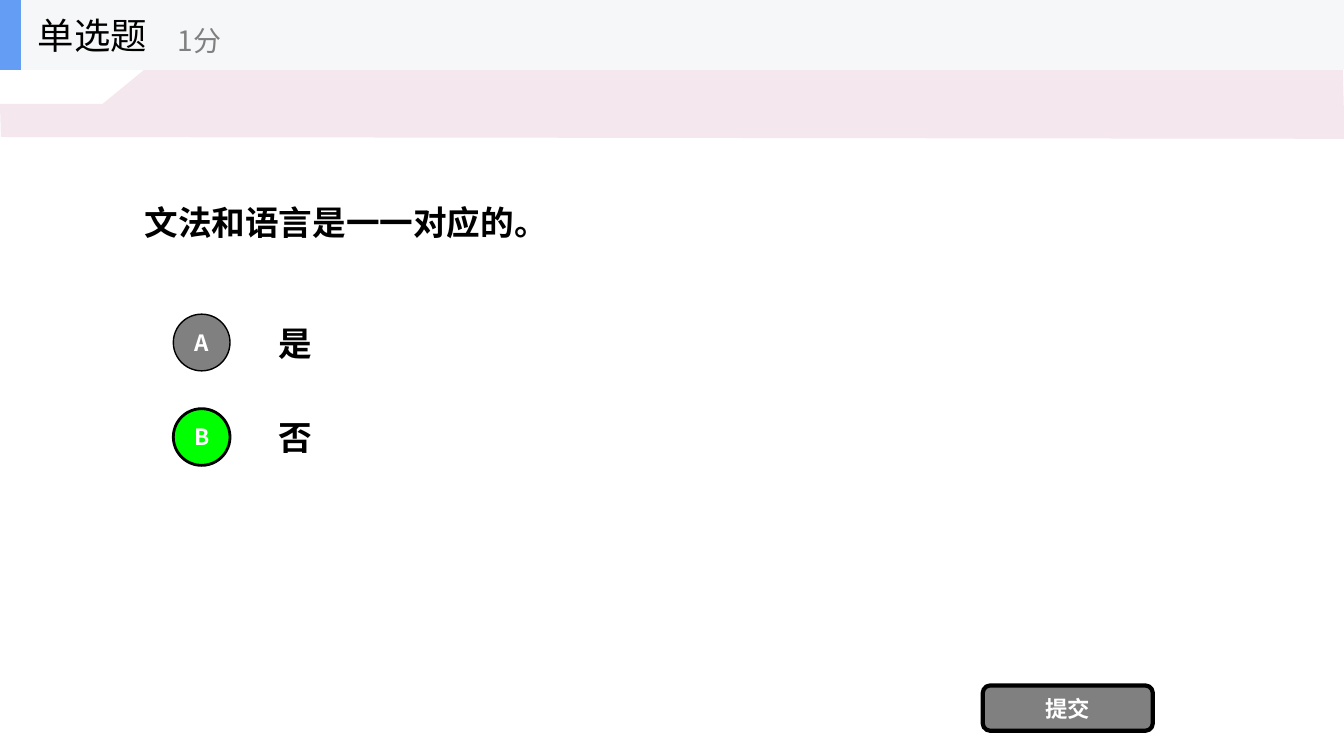
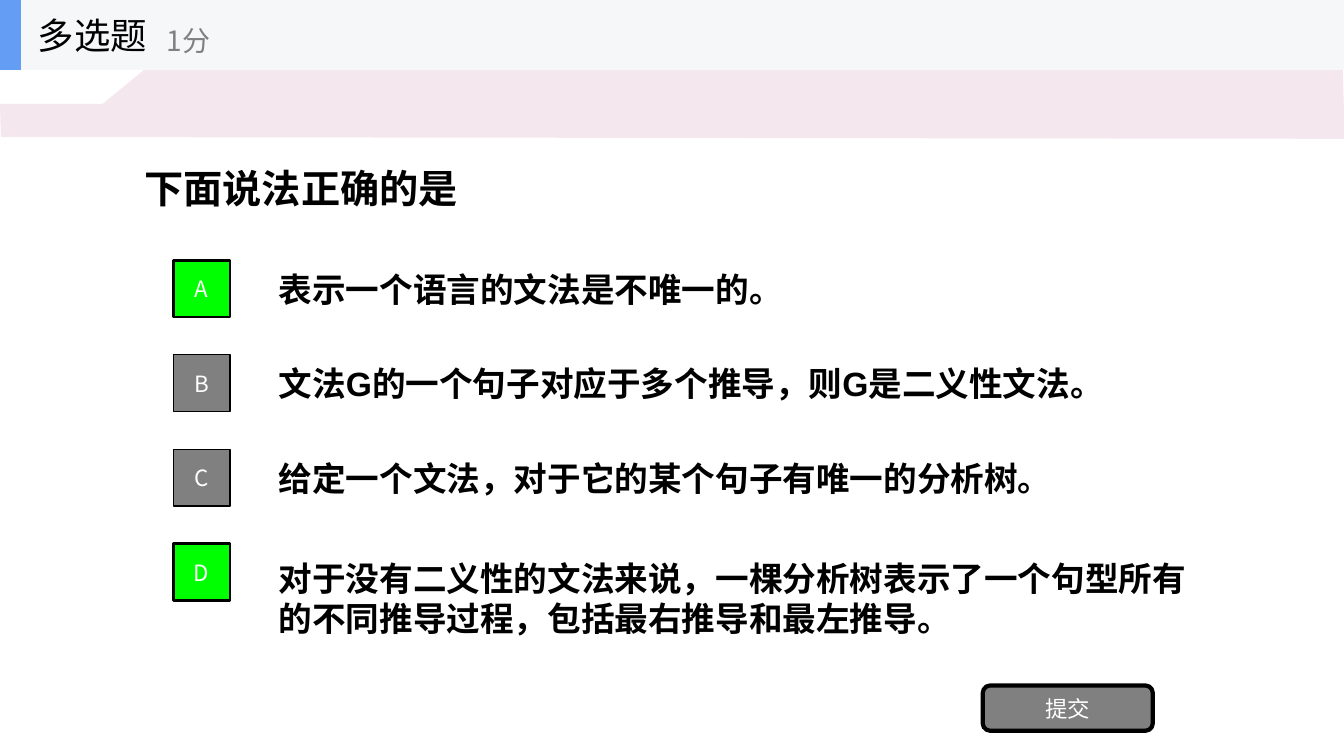
"""Build two quiz slides: one single-choice and one multiple-choice question."""
import dataclasses

import lxml.etree
import pptx
import pptx.dml.color
import pptx.enum.shapes
import pptx.enum.text
import pptx.oxml.ns
import pptx.util

Pt = pptx.util.Pt
Shapes = pptx.enum.shapes.MSO_SHAPE
Align = pptx.enum.text.PP_ALIGN


@dataclasses.dataclass(frozen=True)
class Theme:
    black: str = "000000"
    white: str = "FFFFFF"
    gray: str = "808080"
    correct: str = "00FF00"
    header: str = "F6F7F8"
    accent: str = "639EF4"
    band: str = "F4E7ED"
    cjk_font: str = "Noto Sans CJK SC"
    latin_font: str = "Arial"
    heading_size: int = 26
    score_size: int = 20
    option_size: int = 24
    label_size: int = 16


@dataclasses.dataclass(frozen=True)
class Question:
    heading: str
    score_left: float
    title: str
    title_size: int
    title_top: float
    title_height: float
    options_top: float
    options: tuple
    correct: str
    badge: Shapes
    label_bold: bool
    option_font: str


theme = Theme()
questions = [
    Question(
        "单选题", 120, "文法和语言是一一对应的。", 24, 98.6, 120, 219.4,
        ("是", "否"), "B", Shapes.OVAL, True, theme.cjk_font,
    ),
    Question(
        "多选题", 112, "下面说法正确的是", 28, 49.7, 168.5, 180.9,
        (
            "表示一个语言的文法是不唯一的。",
            "文法G的一个句子对应于多个推导，则G是二义性文法。",
            "给定一个文法，对于它的某个句子有唯一的分析树。",
            "对于没有二义性的文法来说，一棵分析树表示了一个句型所有的不同推导过程，包括最右推导和最左推导。",
        ),
        "AD", Shapes.RECTANGLE, False, theme.latin_font,
    ),
]


def write(shape, text, size, color, bold=False, font=theme.cjk_font, align=Align.LEFT):
    frame = shape.text_frame
    frame.word_wrap = True
    frame.auto_size = pptx.enum.text.MSO_AUTO_SIZE.NONE
    frame.vertical_anchor = pptx.enum.text.MSO_ANCHOR.MIDDLE
    if align == Align.CENTER:
        frame.margin_left = frame.margin_right = frame.margin_top = frame.margin_bottom = 0
    paragraph = frame.paragraphs[0]
    paragraph.alignment = align
    run = paragraph.add_run()
    run.text = text
    run.font.size = Pt(size)
    run.font.bold = bold
    run.font.color.rgb = pptx.dml.color.RGBColor.from_string(color)
    run.font.name = font
    east_asian = lxml.etree.Element(pptx.oxml.ns.qn("a:ea"), typeface=font)
    run.font.fill  # noqa
    run._r.get_or_add_rPr().find(pptx.oxml.ns.qn("a:latin")).addnext(east_asian)


def paint(shape, fill, line_width=0):
    shape.shadow.inherit = False
    shape.fill.solid()
    shape.fill.fore_color.rgb = pptx.dml.color.RGBColor.from_string(fill)
    if line_width:
        shape.line.color.rgb = pptx.dml.color.RGBColor.from_string(theme.black)
        shape.line.width = Pt(line_width)
    else:
        shape.line.fill.background()
    return shape


presentation = pptx.Presentation()
presentation.slide_width = Pt(960)
presentation.slide_height = Pt(540)
layout = presentation.slide_layouts[5]
slides = [presentation.slides.add_slide(layout) for question in questions]

outline = [
    (Pt(x), Pt(y))
    for x, y in [
        (0, 74.2), (73.4, 74.2), (129.6, 28.1), (360, 28.1),
        (377.3, 43.2), (959, 42.5), (960.5, 99.2), (0.7, 97.9),
    ]
]
builder = slides[0].shapes.build_freeform(*outline[0], scale=1.0)
builder.add_line_segments(outline[1:], close=True)
band = paint(builder.convert_to_shape(), theme.band)
layout.shapes.element.append(band.element)

for slide, question in zip(slides, questions):
    title = slide.shapes.title
    title.left, title.top = Pt(96), Pt(question.title_top)
    title.width, title.height = Pt(768), Pt(question.title_height)
    write(title, question.title, question.title_size, theme.black, bold=True)

    for index, option in enumerate(question.options):
        top = question.options_top + 67.5 * index
        letter = "ABCD"[index]
        height = 87.3 if len(option) > 30 else 50.6
        answer = slide.shapes.add_textbox(Pt(192), Pt(top), Pt(672), Pt(height))
        write(answer, option, theme.option_size, theme.black, True, question.option_font)

        badge = slide.shapes.add_shape(question.badge, Pt(123.8), Pt(top + 5), Pt(40.5), Pt(40.5))
        if letter in question.correct:
            paint(badge, theme.correct, 2)
        else:
            paint(badge, theme.gray, 1)
        write(badge, letter, theme.label_size, theme.white, question.label_bold, align=Align.CENTER)

    submit = slide.shapes.add_shape(
        Shapes.ROUNDED_RECTANGLE, Pt(702), Pt(489.6), Pt(121.5), Pt(32.4)
    )
    paint(submit, theme.gray, 3)
    write(submit, "提交", theme.label_size, theme.white, question.label_bold, align=Align.CENTER)

    header = slide.shapes.add_group_shape()
    for width, color in [(960, theme.header), (15, theme.accent)]:
        paint(header.shapes.add_shape(Shapes.RECTANGLE, 0, 0, Pt(width), Pt(50)), color)
    heading = header.shapes.add_textbox(Pt(20), 0, Pt(150), Pt(50))
    write(heading, question.heading, theme.heading_size, theme.black)
    score = header.shapes.add_textbox(Pt(question.score_left), Pt(9), Pt(180), Pt(40))
    write(score, "1分", theme.score_size, theme.gray)

presentation.save("out.pptx")
